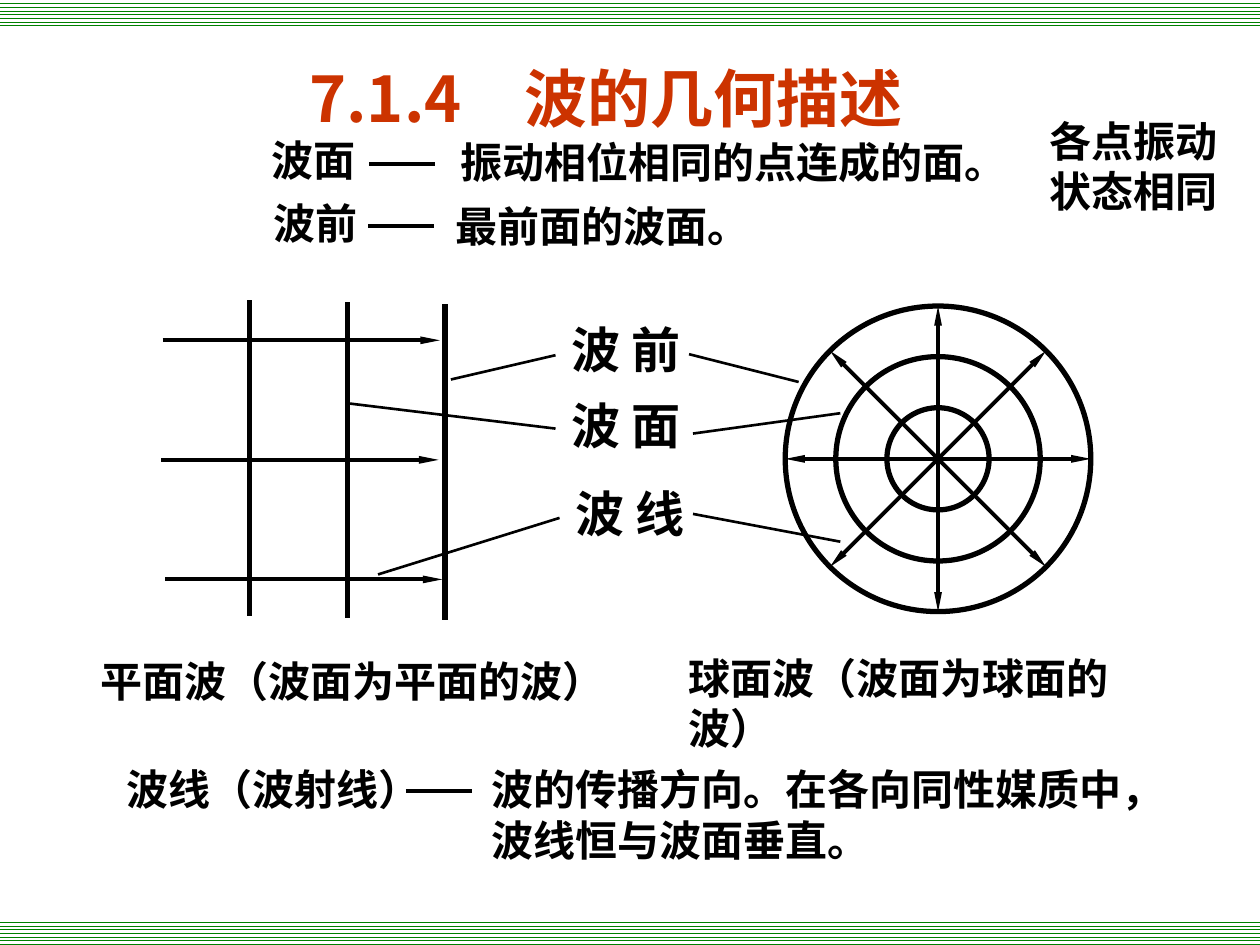
from math import cos, pi, sin

from lxml.etree import SubElement
from pptx import Presentation
from pptx.dml.color import RGBColor
from pptx.enum.dml import MSO_PATTERN
from pptx.enum.shapes import MSO_CONNECTOR, MSO_SHAPE
from pptx.enum.text import MSO_ANCHOR, PP_ALIGN
from pptx.oxml.ns import qn
from pptx.util import Cm, Pt

BLACK = RGBColor(0, 0, 0)
WHITE = RGBColor(255, 255, 255)
GREEN = RGBColor(0, 128, 0)
RED = RGBColor(0xCC, 0x33, 0)
LATIN_FONT = "Times New Roman"
CHINESE_FONT = "Noto Sans CJK SC"

# All positions are in centimetres.
WIDTH, HEIGHT, BAND_HEIGHT = 25.4, 19.05, 0.53

TITLE = ("7.1.4　波的几何描述", 4.29, 1.07, 15.85, 1.04)
SIDE_NOTE = ("各点振动\n状态相同", 20.9, 2.18, 3.96, 2.31)

# text, left, top, width, height
STATEMENTS = [
    ("波面", 5.23, 2.59, 4.11, 1.27),
    ("振动相位相同的点连成的面。", 9.04, 2.62, 12.04, 1.27),
    ("波前", 5.26, 3.86, 4.11, 1.27),
    ("最前面的波面。", 8.94, 3.91, 12.6, 1.27),
    ("平面波（波面为平面的波）", 1.78, 13.08, 11.38, 2.79),
    ("球面波（波面为球面的波）", 13.64, 13.03, 10.49, 1.27),
    ("波线（波射线）", 2.31, 15.27, 11.63, 1.27),
    ("波的传播方向。在各向同性媒质中，波线恒与波面垂直。", 9.65, 15.27, 13.82, 2.29),
]
DIAGRAM_LABELS = [
    ("波 前", 11.28, 6.32, 5.44, 1.45),
    ("波 面", 11.28, 7.85, 6.83, 1.45),
    ("波 线", 11.35, 9.63, 5.97, 1.45),
]

DASH_LENGTH = 1.33
DASH_STARTS = [(7.44, 3.3), (7.42, 4.55), (8.18, 15.95)]

# x1, y1, x2, y2: from the diagram to its label
LEADERS = [
    (9.09, 7.65, 11.2, 7.16), (16.1, 7.7, 13.89, 7.14),
    (7.01, 8.13, 11.2, 8.64), (16.94, 8.33, 13.97, 8.74),
    (7.62, 11.58, 11.28, 10.44), (16.94, 10.92, 13.97, 10.36),
]

FRONT_LEFT, FRONT_TOP, FRONT_GAP, FRONT_LENGTH = 5.03, 6.05, 1.97, 6.37
FRONT_STEP_DOWN = 0.04
RAY_LEFTS = [3.28, 3.25, 3.33]
RAY_TOP, RAY_GAP, RAY_LENGTH = 6.86, 2.41, 5.59

CENTRE_X, CENTRE_Y = 18.91, 9.25
RADII = [1.03, 2.06, 3.08]
DIAMETERS = 4


def add_text(slide, text, left, top, width, height, size=24, color=BLACK,
             font=LATIN_FONT, align=PP_ALIGN.LEFT, anchor=MSO_ANCHOR.TOP, wrap=True):
    box = slide.shapes.add_textbox(Cm(left), Cm(top), Cm(width), Cm(height))
    frame = box.text_frame
    frame.text = text
    frame.word_wrap = wrap
    frame.vertical_anchor = anchor
    for paragraph in frame.paragraphs:
        paragraph.alignment = align
        paragraph.font.size = Pt(size)
        paragraph.font.bold = True
        paragraph.font.color.rgb = color
        paragraph.font.name = font
        properties = paragraph._p.pPr.find(qn("a:defRPr"))
        SubElement(properties, qn("a:ea")).set("typeface", CHINESE_FONT)


def add_line(slide, x1, y1, x2, y2, weight, arrow_ends=()):
    """Draw a black line; arrow_ends may hold "headEnd" and "tailEnd", in that order."""
    line = slide.shapes.add_connector(
        MSO_CONNECTOR.STRAIGHT, Cm(x1), Cm(y1), Cm(x2), Cm(y2))
    line.line.color.rgb = BLACK
    line.line.width = Pt(weight)
    for end in arrow_ends:
        arrow = SubElement(line.line._get_or_add_ln(), qn(f"a:{end}"))
        arrow.set("type", "triangle")
        arrow.set("w", "sm")
        arrow.set("len", "lg")
    SubElement(line._element.spPr, qn("a:effectLst"))


def add_bands(slide):
    for top in (0, HEIGHT - BAND_HEIGHT):
        band = slide.shapes.add_shape(
            MSO_SHAPE.RECTANGLE, Cm(0), Cm(top), Cm(WIDTH), Cm(BAND_HEIGHT))
        band.shadow.inherit = False
        band.line.fill.background()
        band.fill.patterned()
        band.fill.pattern = MSO_PATTERN.ZIG_ZAG
        band.fill.fore_color.rgb = GREEN
        band.fill.back_color.rgb = WHITE


def add_spherical_wave(slide):
    for radius in RADII:
        circle = slide.shapes.add_shape(
            MSO_SHAPE.OVAL, Cm(CENTRE_X - radius), Cm(CENTRE_Y - radius),
            Cm(2 * radius), Cm(2 * radius))
        circle.shadow.inherit = False
        circle.fill.background()
        circle.line.color.rgb = BLACK
        circle.line.width = Pt(3)
    for index in range(DIAMETERS):
        angle = index * pi / DIAMETERS
        dx, dy = RADII[-1] * cos(angle), RADII[-1] * sin(angle)
        add_line(slide, CENTRE_X - dx, CENTRE_Y - dy, CENTRE_X + dx, CENTRE_Y + dy,
                 2.25, ("headEnd", "tailEnd"))


def add_plane_wave(slide):
    for index, ray_left in enumerate(RAY_LEFTS):
        x = FRONT_LEFT + index * FRONT_GAP
        top = FRONT_TOP + index * FRONT_STEP_DOWN
        add_line(slide, x, top, x, top + FRONT_LENGTH, 3)
        y = RAY_TOP + index * RAY_GAP
        add_line(slide, ray_left, y, ray_left + RAY_LENGTH, y, 2.25, ("tailEnd",))


def main():
    presentation = Presentation()
    presentation.slide_width, presentation.slide_height = Cm(WIDTH), Cm(HEIGHT)
    slide = presentation.slides.add_slide(presentation.slide_layouts[6])

    add_bands(slide)
    add_text(slide, *TITLE, size=36, color=RED, font=CHINESE_FONT,
             align=PP_ALIGN.CENTER, wrap=False)
    add_spherical_wave(slide)
    add_plane_wave(slide)
    for label in DIAGRAM_LABELS:
        add_text(slide, *label, size=28)
    for leader in LEADERS:
        add_line(slide, *leader, 1.5)
    for statement in STATEMENTS:
        add_text(slide, *statement)
    for x, y in DASH_STARTS:
        add_line(slide, x, y, x + DASH_LENGTH, y, 2.25)
    add_text(slide, *SIDE_NOTE, anchor=MSO_ANCHOR.MIDDLE, wrap=False)

    presentation.save("out.pptx")


if __name__ == "__main__":
    main()
